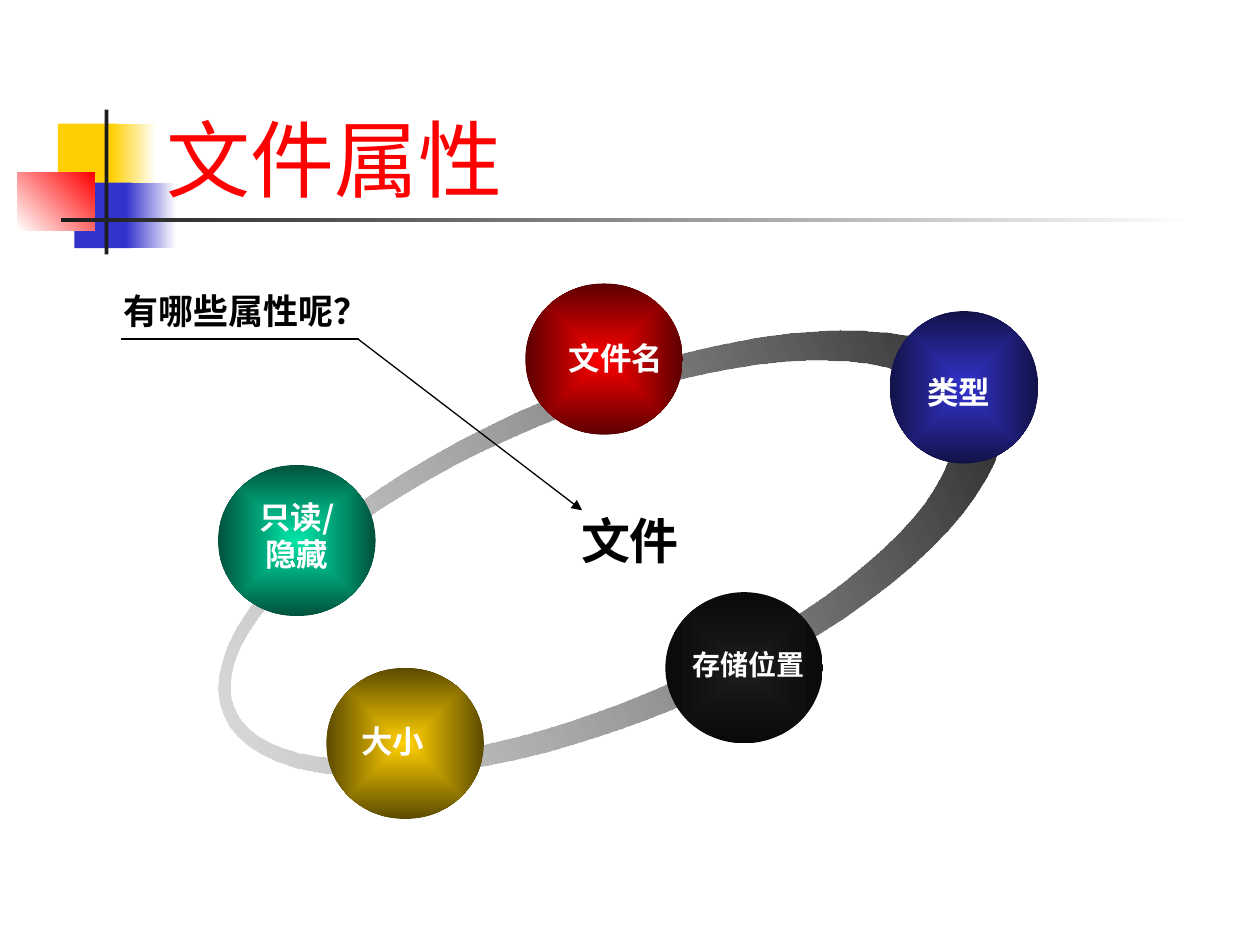
"""Build the slide on file attributes: five spheres on a tilted ring."""
import math

from lxml import etree
from pptx import Presentation
from pptx.dml.color import RGBColor
from pptx.enum import shapes, text
from pptx.oxml import parse_xml
from pptx.oxml.ns import nsdecls, qn
from pptx.util import Pt

THEME = {
    "ink": "000000", "white": "FFFFFF", "red": "FF0000", "blue": "3333CC",
    "gold": "FFCF01", "char": "1C1C1C", "ring": "A4A4A4",
    "latin": "DejaVu Sans", "center": "Arial", "cjk": "Noto Sans CJK SC",
    "title": 48, "hub": 28, "question": 20, "label": 18, "small": 16, "line": 0.75,
}

TITLE = ("文件属性", (87.8, 49, 616.3, 73.4))
ORNAMENTS = [
    ((33.1, 70.6, 34.6, 37.4), ["gold"], 0),
    ((63.4, 70.6, 25.9, 37.4), ["gold", "white"], 0),
    ((42.5, 104.4, 33.1, 37.4), ["blue"], 0),
    ((72, 104.4, 28.8, 37.4), ["blue", "white"], 0),
    ((10.1, 98.6, 43.9, 33.1), ["white", "red"], 45),
    ((59.8, 62.6, 2.2, 82.8), ["char"], 0),
    ((34.6, 124.6, 648, 2.2), ["char", "white"], 0),
]
RING = {"center": (349.2, 316.4), "tilt": -22.6, "steps": 80, "alpha": 36,
        "ellipses": [(0, 0, 239.8, 95.4), (-11.5, -1, 221, 82)]}
SPHERES = [
    ((300.2, 162, 90, 86.4), "FF0000", "5C0000"),
    ((124.6, 265.7, 90, 86.4), "00E4A8", "00523C"),
    ((186.5, 381.6, 90, 86.4), "FFCF01", "5C4B00"),
    ((380.2, 338.4, 90, 86.4), "1C1C1C", "0A0A0A"),
    ((508.3, 177.8, 85, 87.1), "3333CC", "121249"),
]
LABELS = [
    (["文件名"], (317.5, 190.1, 69.1, 28.8), "label"),
    (["类型"], (522.7, 209.5, 50.4, 28.8), "label"),
    (["存储位置"], (388.1, 366.5, 79.2, 26.6), "small"),
    (["大小"], (199.4, 409, 50.4, 28.8), "label"),
]
ACCESS_LABEL = (["只读/", "隐藏"], (144.7, 280.8, 59.8, 50.4))
HUB = (["文件"], (269.3, 288, 181.4, 41))
QUESTION = (["有哪些属性呢？"], (59.8, 162, 162, 31))
UNDERLINE = (205.2, 193.7, 69.1, 193.7)
POINTER = (204.5, 193.7, 332.6, 291.6)


def color(value):
    return RGBColor.from_string(THEME.get(value, value))


def points(values):
    return [Pt(value) for value in values]


def paint(shape, colors, angle=0):
    shape.shadow.inherit = False
    shape.line.fill.background()
    if len(colors) == 1:
        shape.fill.solid()
        shape.fill.fore_color.rgb = color(colors[0])
        return
    shape.fill.gradient()
    shape.fill.gradient_angle = angle
    for stop, value in zip(shape.fill.gradient_stops, colors):
        stop.color.rgb = color(value)


def style(para, size, hue, latin, bold=True):
    for span in para.runs:
        font = span.font
        font.name, font.size, font.bold = latin, Pt(THEME[size]), bold
        font.color.rgb = color(hue)
        east = etree.SubElement(font._element, qn("a:ea"))
        east.set("typeface", THEME["cjk"])


def add_title(page, last_ornament):
    title = page.shapes.title
    words, place = TITLE
    title.left, title.top, title.width, title.height = points(place)
    frame = title.text_frame
    frame.text = words
    frame.auto_size = text.MSO_AUTO_SIZE.NONE
    frame.vertical_anchor = text.MSO_ANCHOR.BOTTOM
    frame.paragraphs[0].alignment = text.PP_ALIGN.LEFT
    style(frame.paragraphs[0], "title", "red", THEME["cjk"], False)
    last_ornament._element.addnext(title._element)


def add_text(page, lines, place, size, hue, latin, wrap=True):
    box = page.shapes.add_textbox(*points(place))
    frame = box.text_frame
    frame.word_wrap = wrap
    frame.text = "\n".join(lines)
    for para in frame.paragraphs:
        para.alignment = text.PP_ALIGN.CENTER
        style(para, size, hue, latin)
    return frame


def add_ring(page):
    center_x, center_y = RING["center"]
    builder = None
    for shift_x, shift_y, radius_x, radius_y in RING["ellipses"]:
        angles = [2 * math.pi * step / RING["steps"] for step in range(RING["steps"])]
        outline = [(Pt(center_x + shift_x + radius_x * math.cos(angle)),
                    Pt(center_y + shift_y + radius_y * math.sin(angle)))
                   for angle in angles]
        if builder is None:
            builder = page.shapes.build_freeform(*outline[0])
        else:
            builder.move_to(*outline[0])
        builder.add_line_segments(outline[1:], close=True)
    ring = builder.convert_to_shape()
    ring.rotation = RING["tilt"]
    paint(ring, ["ring", "char"])
    pale = ring._element.spPr.find(".//" + qn("a:srgbClr"))
    etree.SubElement(pale, qn("a:alpha")).set("val", str(RING["alpha"] * 1000))


def add_sphere(page, place, core, rim):
    sphere = page.shapes.add_shape(shapes.MSO_SHAPE.OVAL, *points(place))
    paint(sphere, [core, rim])
    linear = sphere._element.spPr.find(".//" + qn("a:lin"))
    linear.getparent().replace(linear, parse_xml(
        f'<a:path {nsdecls("a")} path="shape">'
        '<a:fillToRect l="50000" t="50000" r="50000" b="50000"/></a:path>'))


def add_line(page, ends, arrow=False):
    line = page.shapes.add_connector(shapes.MSO_CONNECTOR.STRAIGHT, *points(ends))
    line.line.color.rgb = color("ink")
    line.line.width = Pt(THEME["line"])
    if arrow:
        etree.SubElement(line.line._get_or_add_ln(), qn("a:tailEnd")).set("type", "triangle")
    etree.SubElement(line._element.spPr, qn("a:effectLst"))


def main():
    deck = Presentation()
    deck.slide_width, deck.slide_height = Pt(720), Pt(540)
    page = deck.slides.add_slide(deck.slide_layouts[5])
    for place, colors, angle in ORNAMENTS:
        ornament = page.shapes.add_shape(shapes.MSO_SHAPE.RECTANGLE, *points(place))
        paint(ornament, colors, angle)
    add_title(page, ornament)
    add_ring(page)
    for sphere in SPHERES:
        add_sphere(page, *sphere)
    access = add_text(page, *ACCESS_LABEL, "label", "white", THEME["cjk"])
    access.margin_left, access.margin_right = Pt(3), Pt(13)
    for lines, place, size in LABELS:
        add_text(page, lines, place, size, "white", THEME["latin"], wrap=False)
    add_line(page, UNDERLINE)
    add_text(page, *HUB, "hub", "ink", THEME["center"])
    add_line(page, POINTER, arrow=True)
    add_text(page, *QUESTION, "question", "ink", THEME["latin"])
    deck.save("out.pptx")


if __name__ == "__main__":
    main()
